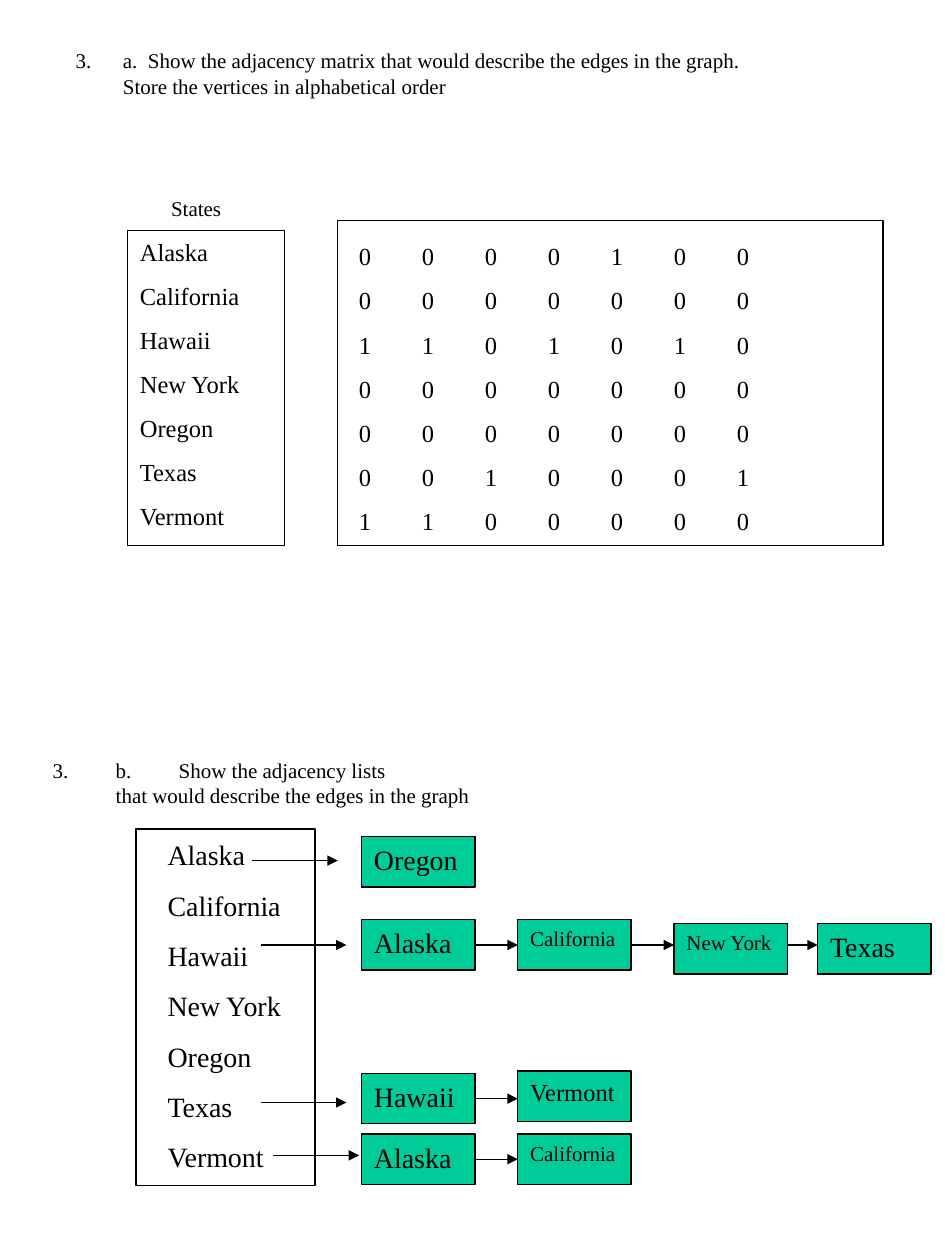
from lxml.etree import SubElement
from pptx import Presentation
from pptx.dml.color import RGBColor
from pptx.enum.shapes import MSO_CONNECTOR, MSO_SHAPE
from pptx.enum.text import MSO_ANCHOR, MSO_AUTO_SIZE, PP_ALIGN
from pptx.oxml.ns import qn
from pptx.util import Inches, Pt

BLACK = RGBColor(0x00, 0x00, 0x00)
GREEN = RGBColor(0x00, 0xCC, 0x99)
FONT = "Times New Roman"

# The page is a grid of 75 columns and 100 rows
COLUMNS, ROWS = 75, 100
CELL = Inches(0.1)

STATES = ["Alaska", "California", "Hawaii", "New York", "Oregon", "Texas", "Vermont"]
MATRIX = ["0000100", "0000000", "1101010", "0000000", "0000000", "0010001", "1100000"]
MATRIX_TABS = [4.4, 10.2, 16.5, 22.8, 28.2, 35]

NODE_WIDTH, NODE_HEIGHT = 9, 4
# Each chain: pointer (column, row), then nodes (name, column, row, text size)
CHAINS = [
    ((9.2, 2.5), [("Oregon", 17.9, 0.6, 16)]),
    ((9.9, 9.2), [("Alaska", 17.9, 7.2, 16), ("California", 30.3, 7.2, 12),
                  ("New York", 42.7, 7.5, 12), ("Texas", 54.1, 7.5, 16)]),
    ((9.9, 21.7), [("Hawaii", 17.9, 19.4, 16), ("Vermont", 30.3, 19.2, 14)]),
    ((10.9, 25.9), [("Alaska", 17.9, 24.2, 16), ("California", 30.3, 24.2, 12)]),
]
POINTER_LENGTH = 6.8


def grid(*cells):
    return [round(cell * CELL) for cell in cells]


def set_values(target, values):
    for name, value in values.items():
        setattr(target, name, value)


def position(shape, region, column, row, width, height):
    left, top = region[:2]
    values = grid(left + column, top + row, width, height)
    set_values(shape, dict(zip(("left", "top", "width", "height"), values)))


def write(shape, lines, size, spacing=1.0, first_spacing=None, wrap=True):
    """Fill a shape with plain left-aligned paragraphs."""
    frame = shape.text_frame
    frame.text = "\n".join(lines)
    set_values(frame, {"word_wrap": wrap, "auto_size": MSO_AUTO_SIZE.NONE,
                       "vertical_anchor": MSO_ANCHOR.TOP})
    for number, paragraph in enumerate(frame.paragraphs):
        first = number == 0 and first_spacing
        set_values(paragraph, {"alignment": PP_ALIGN.LEFT, "space_before": Pt(0),
                               "line_spacing": first_spacing if first else spacing})
        for run in paragraph.runs:
            set_values(run.font, {"name": FONT, "size": Pt(size)})
            run.font.color.rgb = BLACK
    return frame.paragraphs


def set_indent(paragraph, margin, indent, bullet="buNone", tabs=(), **bullet_values):
    properties = paragraph._p.get_or_add_pPr()
    properties.set("marL", str(grid(margin)[0]))
    properties.set("indent", str(grid(indent)[0]))
    SubElement(properties, qn(f"a:{bullet}"), bullet_values)
    if tabs:
        tab_list = SubElement(properties, qn("a:tabLst"))
        for tab in grid(*tabs):
            SubElement(tab_list, qn("a:tab"), {"pos": str(tab), "algn": "l"})


def add_text(slide, region, box, lines, size, **options):
    shape = slide.shapes.add_textbox(0, 0, 0, 0)
    position(shape, region, *box)
    return write(shape, lines, size, **options)


def add_rectangle(slide, region, box, fill=None):
    shape = slide.shapes.add_shape(MSO_SHAPE.RECTANGLE, 0, 0, 0, 0)
    position(shape, region, *box)
    shape.shadow.inherit = False
    if fill is None:
        shape.fill.background()
    else:
        shape.fill.solid()
        shape.fill.fore_color.rgb = fill
    shape.line.color.rgb = BLACK
    shape.line.width = Pt(0.75)
    return shape


def add_arrow(slide, region, start, end, row):
    left, top = region[:2]
    points = grid(left + start, top + row, left + end, top + row)
    arrow = slide.shapes.add_connector(MSO_CONNECTOR.STRAIGHT, *points)
    arrow.line.color.rgb = BLACK
    arrow.line.width = Pt(0.75)
    SubElement(arrow.line._get_or_add_ln(), qn("a:tailEnd"), {"type": "triangle"})
    SubElement(arrow._element.spPr, qn("a:effectLst"))


def fill_state_list(placeholder, region, box, size):
    position(placeholder, region, *box)
    for paragraph in write(placeholder, STATES, size, spacing=1.5, first_spacing=1.0):
        set_indent(paragraph, 0, 0)


def build_matrix_question(title, region):
    position(title, region, 0, 0, *region[2:])
    text = ("a.  Show the adjacency matrix that would describe the edges in the graph. "
            "Store the vertices in alphabetical order")
    paragraph = write(title, [text], 12)[0]
    set_indent(paragraph, 3.75, -3.75, "buAutoNum", type="arabicPeriod", startAt="3")


def build_matrix(slide, state_list, region):
    add_rectangle(slide, region, (0, 3.3, 12.5, 25))
    add_rectangle(slide, region, (16.7, 2.5, 43.3, 25.8))
    add_text(slide, region, (2.5, 0, 6, 3), ["States"], 12, wrap=False)
    fill_state_list(state_list, region, (0, 3.3, 12.5, 25), 14)
    rows = ["\t".join(row) for row in MATRIX]
    for paragraph in add_text(slide, region, (17.4, 2.5, 41.7, 25.3), rows, 14, spacing=1.5):
        set_indent(paragraph, 0, 0, tabs=MATRIX_TABS)


def build_lists_question(slide, region):
    lines = ["3.\tb.\tShow the adjacency lists",
             "that would describe the edges in the graph"]
    first, second = add_text(slide, region, (0, 0, *region[2:]), lines, 12, wrap=False)
    set_indent(first, 0, 0, tabs=(2.5, 5))
    set_indent(second, 5, 0)


def build_lists(slide, state_list, region):
    add_rectangle(slide, region, (0, 0, 14.2, 28.3))
    fill_state_list(state_list, region, (1.5, 0.2, 11.2, 27.5), 16)
    for (start, pointer_row), nodes in CHAINS:
        add_arrow(slide, region, start, start + POINTER_LENGTH, pointer_row)
        for name, column, row, size in nodes:
            box = (column, row, NODE_WIDTH, NODE_HEIGHT)
            write(add_rectangle(slide, region, box, GREEN), [name], size)
        # Links run from each node to the next one
        for (_, column, row, _), (_, following, _, _) in zip(nodes, nodes[1:]):
            link_row = min(row + NODE_HEIGHT / 2, nodes[0][2] + NODE_HEIGHT / 2)
            add_arrow(slide, region, column + NODE_WIDTH, following, link_row)


def main():
    presentation = Presentation()
    set_values(presentation, {"slide_width": COLUMNS * CELL, "slide_height": ROWS * CELL})
    slide = presentation.slides.add_slide(presentation.slide_layouts[3])
    title, matrix_states, list_states = slide.placeholders

    # Regions: left column, top row, width, height
    build_matrix_question(title, (5, 3.3, 58.3, 5))
    build_matrix(slide, matrix_states, (10.1, 15, 60, 28.3))
    build_lists_question(slide, (3.2, 59.6, 35.2, 5))
    build_lists(slide, list_states, (10.8, 65.8, 63.1, 28.3))
    presentation.save("out.pptx")


if __name__ == "__main__":
    main()
